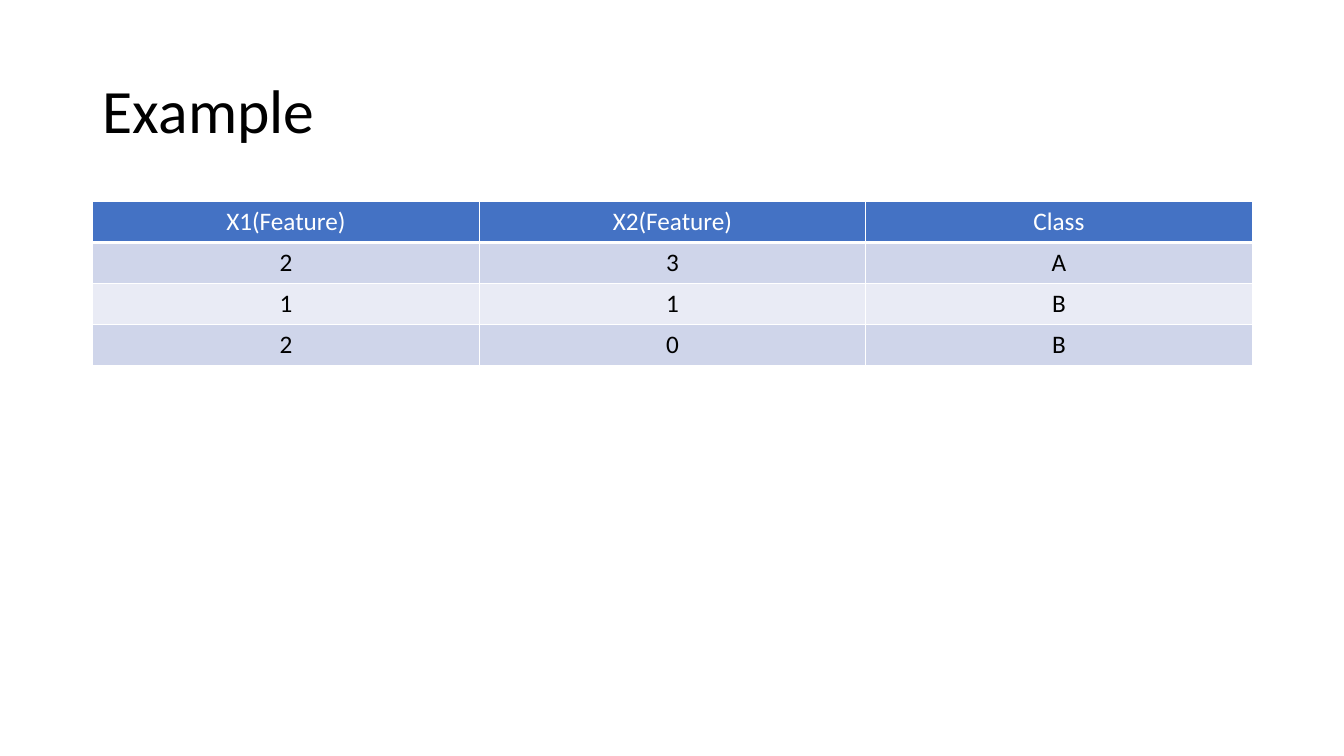
from dataclasses import dataclass

from lxml import etree
from pptx import Presentation
from pptx import util as u
from pptx.dml.color import RGBColor
from pptx.enum import text
from pptx.oxml.ns import qn


@dataclass(frozen=True)
class Theme:
    font: str = "Calibri"
    title_size: int = 44
    cell_size: int = 18
    ink: str = "000000"
    paper: str = "FFFFFF"
    header: str = "4472C4"
    bands: tuple = ("CFD5EA", "E9EBF5")
    rule: int = 1
    header_rule: int = 3


THEME = Theme()
WIDTH, HEIGHT = u.Inches(13.33), u.Inches(7.5)
MARGIN = u.Inches(0.92)
CONTENT_WIDTH = u.Inches(11.5)
TABLE_TOP = u.Inches(2)
ROW_HEIGHT = u.Inches(0.405)

SAMPLES = [
    ("X1(Feature)", "X2(Feature)", "Class"),
    ("2", "3", "A"),
    ("1", "1", "B"),
    ("2", "0", "B"),
]


def style_paragraph(p, size, color, align):
    p.alignment = align
    p.font.name = THEME.font
    p.font.size = u.Pt(size)
    p.font.bold = False
    p.font.color.rgb = RGBColor.from_string(color)


def add_title(slide, wording):
    title = slide.shapes.title
    title.left, title.top = MARGIN, u.Inches(0.4)
    title.width, title.height = CONTENT_WIDTH, u.Inches(1.45)
    tf = title.text_frame
    tf.text = wording
    tf.word_wrap = True
    tf.vertical_anchor = text.MSO_ANCHOR.MIDDLE
    p = tf.paragraphs[0]
    p.line_spacing = 0.9
    style_paragraph(p, THEME.title_size, THEME.ink, text.PP_ALIGN.LEFT)


def set_borders(cell, bottom):
    """Rule all four sides of a cell; only the bottom weight varies."""
    tc_pr = cell._tc.get_or_add_tcPr()
    sides = {"lnL": THEME.rule, "lnR": THEME.rule, "lnT": THEME.rule, "lnB": bottom}
    for side, weight in sides.items():
        line = etree.SubElement(tc_pr, qn(f"a:{side}"), w=str(u.Pt(weight)))
        fill = etree.SubElement(line, qn("a:solidFill"))
        etree.SubElement(fill, qn("a:srgbClr"), val=THEME.paper)


def style_cell(cell, wording, fill, color, bottom):
    set_borders(cell, bottom)
    cell.fill.solid()
    cell.fill.fore_color.rgb = RGBColor.from_string(fill)
    cell.text = wording
    style_paragraph(cell.text_frame.paragraphs[0], THEME.cell_size, color,
                    text.PP_ALIGN.CENTER)


def add_banded_table(slide, rows):
    table = slide.shapes.add_table(len(rows), len(rows[0]), MARGIN, TABLE_TOP,
                                   CONTENT_WIDTH, ROW_HEIGHT * len(rows)).table
    for r, row in enumerate(rows):
        # Header first, then alternating bands
        if r == 0:
            look = (THEME.header, THEME.paper, THEME.header_rule)
        else:
            look = (THEME.bands[(r - 1) % 2], THEME.ink, THEME.rule)
        for c, wording in enumerate(row):
            style_cell(table.cell(r, c), wording, *look)


def main():
    prs = Presentation()
    prs.slide_width, prs.slide_height = WIDTH, HEIGHT
    slide = prs.slides.add_slide(prs.slide_layouts.get_by_name("Title Only"))
    add_title(slide, "Example")
    add_banded_table(slide, SAMPLES)
    prs.save("out.pptx")


if __name__ == "__main__":
    main()
